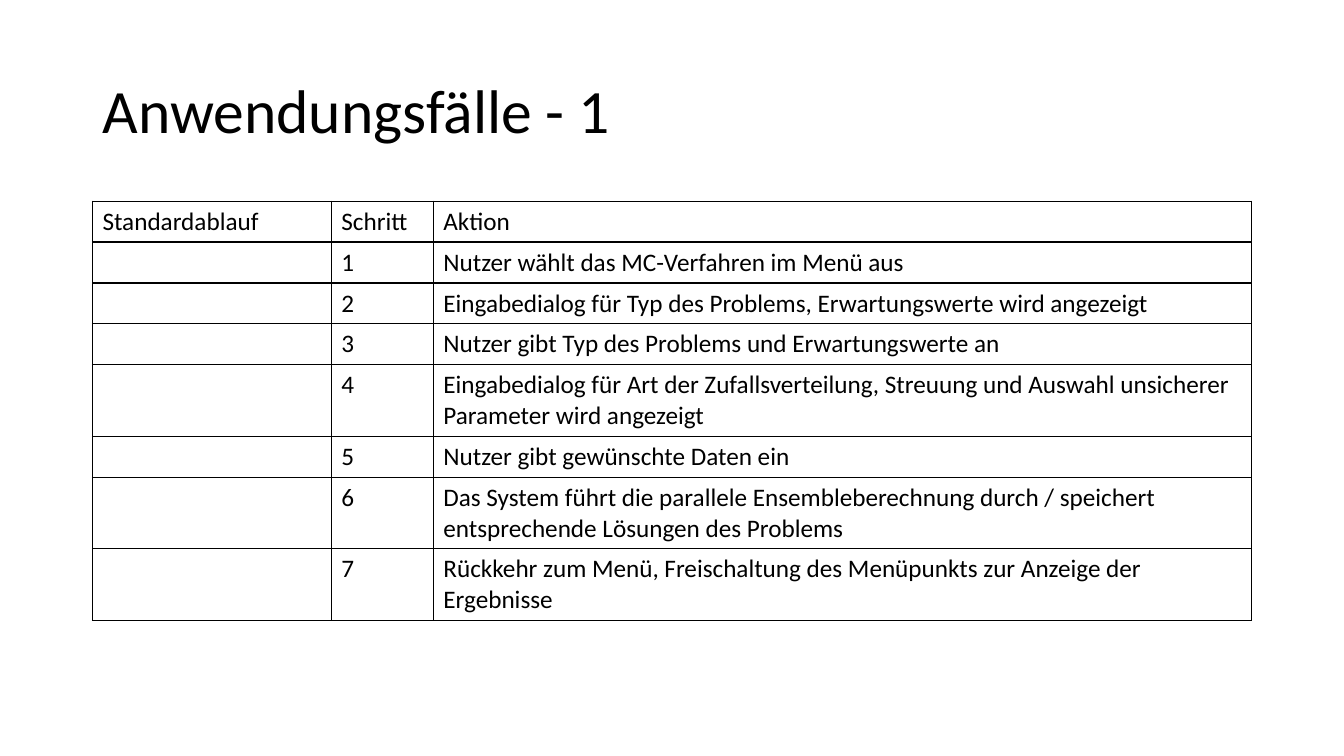
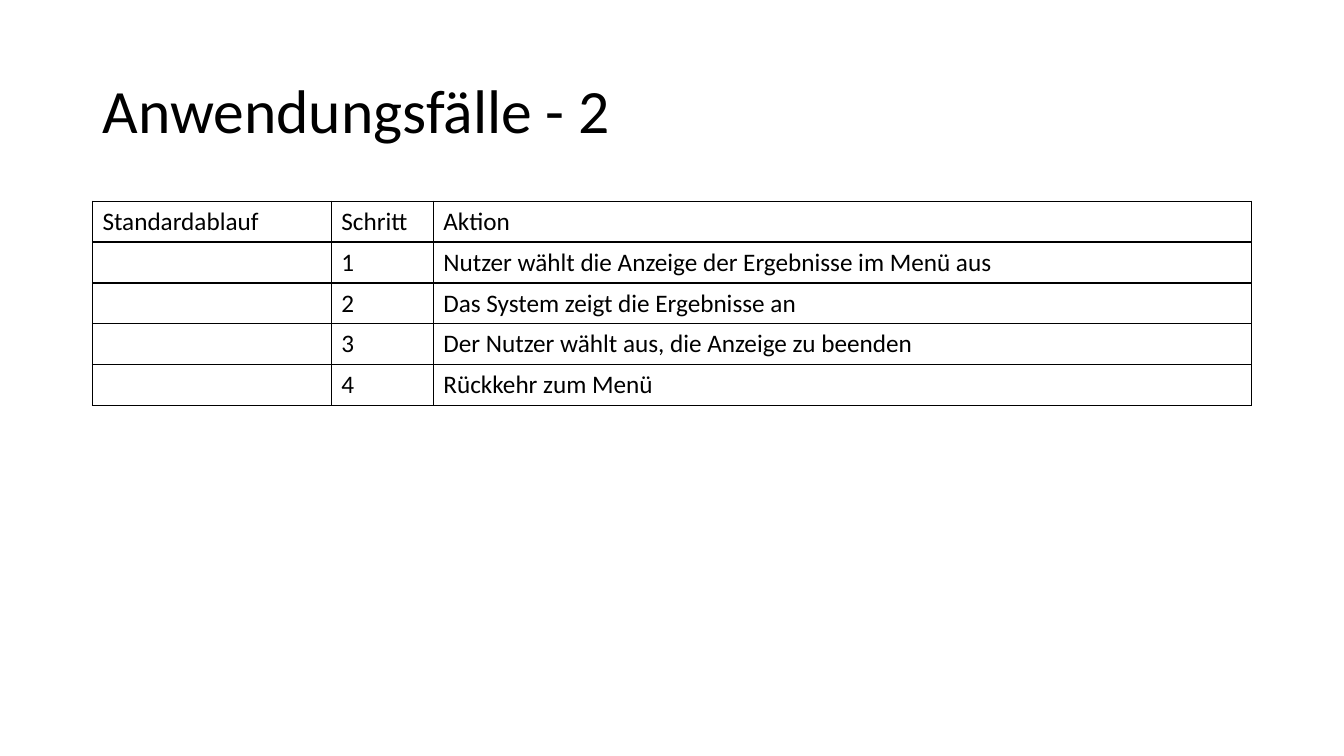
from lxml import etree
from pptx import Presentation
from pptx.dml.color import RGBColor as RGB
from pptx.enum.text import MSO_ANCHOR as ANCHOR, PP_ALIGN as ALIGN
from pptx.oxml import parse_xml
from pptx.util import Cm, Pt

COLORS = {"text": "000000", "border": "000000"}
FONT = "Calibri"
NS = "http://schemas.openxmlformats.org/drawingml/2006/main"
TITLE_BOX = (2.33, 1.01, 29.21, 3.68)
COLUMNS = (6.02, 2.57, 20.62)
ROW_HEIGHT = 1.03
HEADER = ("Standardablauf", "Schritt", "Aktion")

USE_CASES = [
    ("Anwendungsfälle - 1", (2.33, 5.07, 29.21, 10.49), [
        "Nutzer wählt das MC-Verfahren im Menü aus",
        "Eingabedialog für Typ des Problems, Erwartungswerte wird angezeigt",
        "Nutzer gibt Typ des Problems und Erwartungswerte an",
        "Eingabedialog für Art der Zufallsverteilung, Streuung und Auswahl "
        "unsicherer Parameter wird angezeigt",
        "Nutzer gibt gewünschte Daten ein",
        "Das System führt die parallele Ensembleberechnung durch / speichert "
        "entsprechende Lösungen des Problems",
        "Rückkehr zum Menü, Freischaltung des Menüpunkts zur Anzeige der "
        "Ergebnisse",
    ]),
    ("Anwendungsfälle - 2", (2.33, 5.07, 29.21, 5.15), [
        "Nutzer wählt die Anzeige der Ergebnisse im Menü aus",
        "Das System zeigt die Ergebnisse an",
        "Der Nutzer wählt aus, die Anzeige zu beenden",
        "Rückkehr zum Menü",
    ]),
]


def write(tf, text, size=18, color="text", spacing=None):
    """Write one left-aligned paragraph into a text frame."""
    p = tf.paragraphs[0]
    p.alignment = ALIGN.LEFT
    p.line_spacing = spacing
    p.font.size = Pt(size)
    if text:
        r = p.add_run()
        r.text = text
        r.font.size = Pt(size)
        r.font.name = FONT
        r.font.color.rgb = RGB.from_string(COLORS[color])


def add_title(s, box, text):
    """Place and format the title placeholder."""
    title = s.shapes.title
    title.left, title.top, title.width, title.height = map(Cm, box)
    title.text_frame.vertical_anchor = ANCHOR.MIDDLE
    write(title.text_frame, text, size=44, spacing=0.9)


def format_cell(cell):
    """Give a cell thin borders on all sides and no fill."""
    tc_pr = cell._tc.get_or_add_tcPr()
    for side in ("lnL", "lnR", "lnT", "lnB"):
        ln = etree.Element(f"{{{NS}}}{side}", w=str(Pt(1)))
        fill = etree.SubElement(ln, f"{{{NS}}}solidFill")
        etree.SubElement(fill, f"{{{NS}}}srgbClr", val=COLORS["border"])
        tc_pr.append(parse_xml(etree.tostring(ln)))
    cell.fill.background()


def add_steps(s, box, actions):
    """Add the table of numbered steps in the given box."""
    rows = [HEADER] + [("", str(i), a) for i, a in enumerate(actions, 1)]
    frame = s.shapes.add_table(len(rows), len(HEADER), *map(Cm, box))
    table = frame.table
    table.first_row = table.horz_banding = False
    for column, width in zip(table.columns, COLUMNS):
        column.width = Cm(width)
    for row, texts in zip(table.rows, rows):
        row.height = Cm(ROW_HEIGHT)
        for cell, text in zip(row.cells, texts):
            format_cell(cell)
            write(cell.text_frame, text)
    frame.height = Cm(box[3])


def add_use_case(prs, title, box, actions):
    """Add one use case slide with its title and steps."""
    s = prs.slides.add_slide(prs.slide_layouts[5])
    add_title(s, TITLE_BOX, title)
    add_steps(s, box, actions)


def main():
    """Build and save the presentation."""
    prs = Presentation()
    prs.slide_width, prs.slide_height = Cm(33.87), Cm(19.05)
    for use_case in USE_CASES:
        add_use_case(prs, *use_case)
    prs.save("out.pptx")


main()
